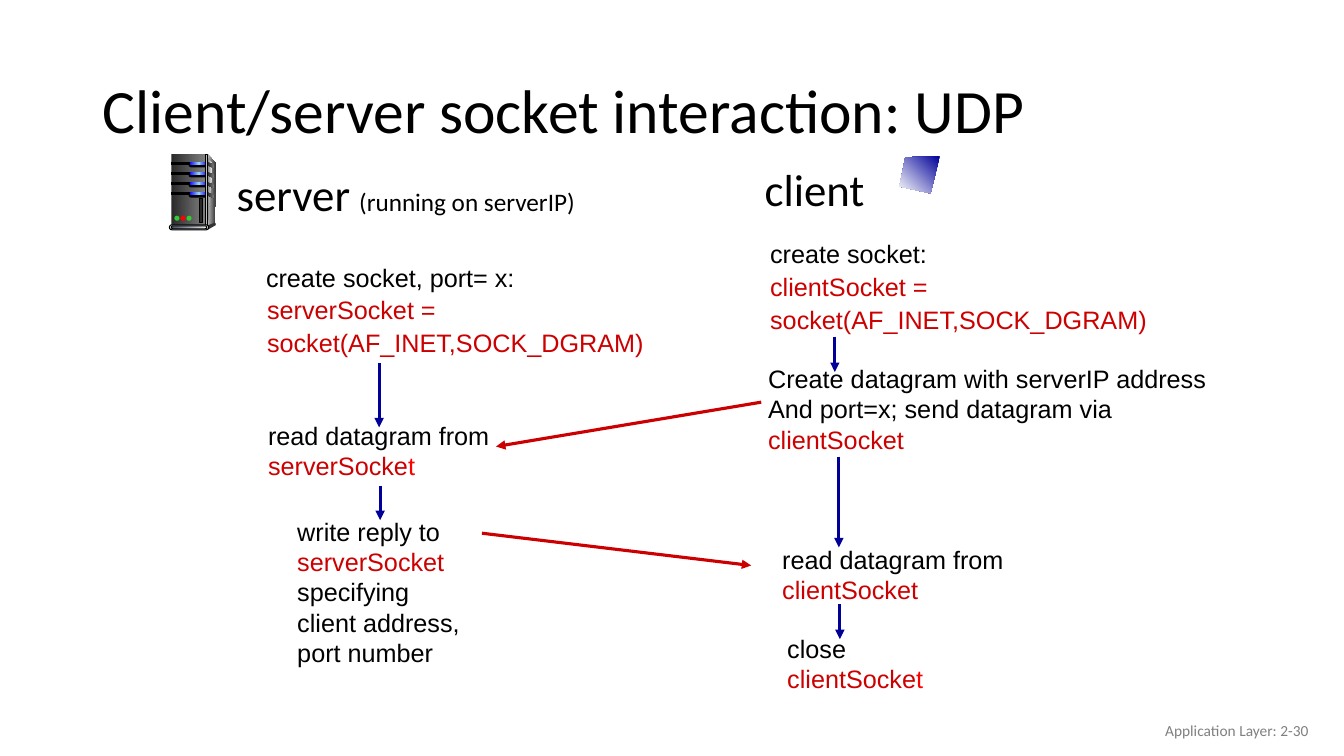
from dataclasses import dataclass
from typing import NamedTuple

from lxml.etree import SubElement
from pptx import Presentation
from pptx.dml.color import RGBColor
from pptx.enum.shapes import MSO_CONNECTOR, MSO_SHAPE
from pptx.enum.text import MSO_ANCHOR, MSO_AUTO_SIZE, PP_ALIGN
from pptx.oxml.ns import qn
from pptx.shapes.autoshape import Shape
from pptx.shapes.connector import Connector
from pptx.slide import Slide
from pptx.util import Inches, Pt


@dataclass(frozen=True)
class Theme:
    heading_font: str = "Calibri"
    step_font: str = "Arial"
    title_size: int = 44
    label_size: int = 32
    gap_size: int = 28
    step_size: int = 18
    footer_size: int = 11
    arrow_width: float = 2.25
    outline_width: float = 0.75
    black: str = "000000"
    red: str = "CC0000"
    bright_red: str = "FF0000"
    blue: str = "000099"
    green: str = "33CC33"
    gray: str = "808080"
    charcoal: str = "333333"
    silver: str = "DDDDDD"
    slot: str = "292929"
    case: tuple[str, ...] = ("292929", "808080")
    case_side: tuple[str, ...] = ("DDDDDD", "333333")
    case_shine: tuple[str, ...] = ("808080", "F8F8F8")
    case_edge: tuple[str, ...] = ("333333", "DDDDDD", "333333")
    drive: tuple[str, ...] = ("0000FF", "99CCFF", "0000FF")
    base: tuple[str, ...] = ("44546A", "E7E6E6")
    screen: tuple[str, ...] = ("000099", "FFFFFF")


THEME = Theme()
Point = tuple[float, float]
Paint = str | tuple[str, ...]


class Span(NamedTuple):
    text: str
    color: str = THEME.black
    size: int = THEME.step_size
    font: str = THEME.step_font


class TextBlock(NamedTuple):
    area: tuple[float, float, float, float]
    paragraphs: list[list[Span]]
    align: PP_ALIGN = PP_ALIGN.LEFT
    spacing: float | Pt | None = None
    space_before: float = 0
    wrap: bool = False


class Arrow(NamedTuple):
    start: Point
    end: Point
    color: str = THEME.blue


class Part(NamedTuple):
    kind: MSO_SHAPE
    area: tuple[float, float, float, float]
    paint: Paint
    outlined: bool = False


def red(text: str) -> Span:
    return Span(text, THEME.red)


def heading(text: str, size: int, color: str = THEME.black) -> Span:
    return Span(text, color, size, THEME.heading_font)


def socket_call(left: float, top: float, name: str) -> TextBlock:
    lines = [[red(f"{name} =")], [red("socket(AF_INET,SOCK_DGRAM)")]]
    return TextBlock((left, top, 3.98, 0.73), lines, spacing=Pt(20), space_before=3.6)


READ_REQUEST = TextBlock((2.56, 4.11, 2.42, 0.71), [
    [Span("read datagram from")], [red("serverSocke"), Span("t", THEME.bright_red)]])

TEXT_BLOCKS = [
    TextBlock((0.92, 0.4, 11.5, 1.45),
              [[heading("Client/server socket interaction: UDP", THEME.title_size)]],
              spacing=0.9, wrap=True),
    TextBlock((2.23, 1.6, 3.59, 0.64),
              [[heading("server", THEME.label_size), heading(" ", THEME.gap_size),
                heading("(running on serverIP)", THEME.step_size)]], PP_ALIGN.CENTER),
    TextBlock((7.48, 1.55, 1.2, 0.64), [[heading("client", THEME.label_size)]],
              PP_ALIGN.CENTER),
    TextBlock((2.54, 2.55, 2.69, 0.4), [[Span("create socket, port= x:")]]),
    socket_call(2.55, 2.88, "serverSocket"),
    TextBlock((2.85, 5.06, 1.84, 1.62), [
        [Span("write reply to")], [red("serverSocket")],
        [Span("specifying \nclient address,")], [Span("port number")]]),
    TextBlock((7.54, 2.31, 1.77, 0.4), [[Span("create socket:")]]),
    socket_call(7.54, 2.65, "clientSocket"),
    TextBlock((7.52, 3.55, 4.59, 1.01), [
        [Span("Create datagram with serverIP address")],
        [Span("And port=x; send datagram via\n"), red("clientSocket")]]),
    TextBlock((7.66, 5.34, 2.42, 0.71),
              [[Span("read datagram from")], [red("clientSocket")]]),
    TextBlock((7.71, 6.23, 1.56, 0.71), [
        [Span("close")], [red("clientSocke"), Span("t", THEME.bright_red)]]),
    TextBlock((10.08, 7.05, 3, 0.4),
              [[heading("Application Layer: 2-30", THEME.footer_size, THEME.gray)]],
              PP_ALIGN.RIGHT, wrap=True),
]

REPLY_STEP = Arrow((3.77, 4.82), (3.77, 5.16))
ARROWS = [
    Arrow((3.76, 3.6), (3.76, 4.24)),
    Arrow((8.28, 3.34), (8.28, 3.69)),
    Arrow((8.32, 4.53), (8.32, 5.43)),
    Arrow((8.33, 5.99), (8.33, 6.34)),
    Arrow((7.55, 3.99), (4.92, 4.43), THEME.red),
    Arrow((4.78, 5.29), (7.45, 5.61), THEME.red),
]


def apply_paint(shape: Shape, paint: Paint, angle: float = 0, outlined: bool = False) -> None:
    """Fill with one colour, or with evenly spaced gradient colours."""
    shape.shadow.inherit = False
    if isinstance(paint, str):
        shape.fill.solid()
        shape.fill.fore_color.rgb = RGBColor.from_string(paint)
    else:
        shape.fill.gradient()
        shape.fill.gradient_angle = angle
        stops = next(shape.element.iter(qn("a:gsLst")))
        stops[:] = []
        for index, color in enumerate(paint):
            position = 100000 * index // (len(paint) - 1)
            stop = SubElement(stops, qn("a:gs"), pos=str(position))
            SubElement(stop, qn("a:srgbClr"), val=color)
    if outlined:
        shape.line.color.rgb = RGBColor.from_string(THEME.black)
        shape.line.width = Pt(THEME.outline_width)
    else:
        shape.line.fill.background()


def draw_part(page: Slide, part: Part) -> None:
    shape = page.shapes.add_shape(part.kind, *map(Inches, part.area))
    if part.kind == MSO_SHAPE.ROUNDED_RECTANGLE:
        shape.adjustments[0] = 0.5
    apply_paint(shape, part.paint, outlined=part.outlined)


def draw_outline(page: Slide, points: list[Point], paint: Paint, angle: float = 0) -> None:
    first, *rest = [(Inches(x), Inches(y)) for x, y in points]
    builder = page.shapes.build_freeform(*first)
    builder.add_line_segments(rest, close=True)
    apply_paint(builder.convert_to_shape(), paint, angle)


def draw_text(page: Slide, block: TextBlock) -> Shape:
    box = page.shapes.add_textbox(*map(Inches, block.area))
    frame = box.text_frame
    frame.word_wrap = block.wrap
    frame.auto_size = MSO_AUTO_SIZE.NONE if block.wrap else MSO_AUTO_SIZE.SHAPE_TO_FIT_TEXT
    frame.vertical_anchor = MSO_ANCHOR.MIDDLE
    for index, spans in enumerate(block.paragraphs):
        para = frame.add_paragraph() if index else frame.paragraphs[0]
        para.alignment = block.align
        para.line_spacing = block.spacing
        if index and block.space_before:
            para.space_before = Pt(block.space_before)
        for span in spans:
            for line_index, line in enumerate(span.text.split("\n")):
                if line_index:
                    para.add_line_break()
                if line:
                    run = para.add_run()
                    run.text = line
                    run.font.name, run.font.size = span.font, Pt(span.size)
                    run.font.color.rgb = RGBColor.from_string(span.color)
    return box


def draw_arrow(page: Slide, arrow: Arrow) -> Connector:
    connector = page.shapes.add_connector(
        MSO_CONNECTOR.STRAIGHT, *map(Inches, arrow.start + arrow.end))
    connector.line.color.rgb = RGBColor.from_string(arrow.color)
    connector.line.width = Pt(THEME.arrow_width)
    SubElement(connector.line._get_or_add_ln(), qn("a:tailEnd"), type="triangle")
    SubElement(connector.element.spPr, qn("a:effectLst"))
    return connector


def draw_server(page: Slide) -> None:
    rectangle, pill, oval = MSO_SHAPE.RECTANGLE, MSO_SHAPE.ROUNDED_RECTANGLE, MSO_SHAPE.OVAL
    draw_outline(page, [(2.06, 1.53), (2.14, 1.62), (2.13, 2.22), (2.04, 2.25)],
                 THEME.case_side)
    draw_part(page, Part(rectangle, (1.7, 1.53, 0.34, 0.72), THEME.case))
    draw_outline(page, [(2.06, 1.57), (2.11, 1.63), (2.08, 1.95), (2.06, 2.23)],
                 THEME.case_shine)
    drive_tops = [1.61 + 0.1 * row for row in range(4)]
    for top in drive_tops:
        draw_part(page, Part(rectangle, (1.7, top, 0.19, 0.02), THEME.black, True))
        draw_part(page, Part(pill, (1.87, top, 0.19, 0.05), THEME.black))
        draw_part(page, Part(pill, (1.88, top, 0.18, 0.03), THEME.drive))
    draw_part(page, Part(rectangle, (2.04, 1.53, 0.02, 0.72), THEME.case_edge, True))
    for top in drive_tops:
        draw_outline(page, [(2.06, top), (2.13, top + 0.03), (2.13, top + 0.06),
                            (2.06, top + 0.03)], THEME.case)
    draw_part(page, Part(oval, (2.12, 2.21, 0.02, 0.03), THEME.charcoal))
    draw_outline(page, [(2.05, 2.24), (2.06, 2.28), (2.13, 2.24), (2.13, 2.21)],
                 THEME.charcoal)
    draw_part(page, Part(pill, (1.68, 2.23, 0.39, 0.05), THEME.silver, True))
    draw_part(page, Part(pill, (1.7, 2.24, 0.35, 0.03), THEME.base, True))
    for index, color in enumerate((THEME.green, THEME.bright_red, THEME.green)):
        draw_part(page, Part(oval, (1.73 + 0.06 * index, 2.14, 0.05, 0.05), color))
    draw_part(page, Part(rectangle, (1.98, 1.97, 0.03, 0.24), THEME.slot, True))


def main() -> None:
    deck = Presentation()
    deck.slide_width, deck.slide_height = Inches(13.33), Inches(7.5)
    page = deck.slides.add_slide(deck.slide_layouts[6])
    for block in TEXT_BLOCKS:
        draw_text(page, block)
    read_box = draw_text(page, READ_REQUEST)
    for arrow in ARROWS:
        draw_arrow(page, arrow)
    draw_arrow(page, REPLY_STEP).begin_connect(read_box, 2)
    draw_server(page)
    draw_outline(page, [(9.32, 1.55), (8.98, 1.56), (8.92, 1.85), (9.23, 1.92)],
                 THEME.screen, angle=225)
    deck.save("out.pptx")


if __name__ == "__main__":
    main()
